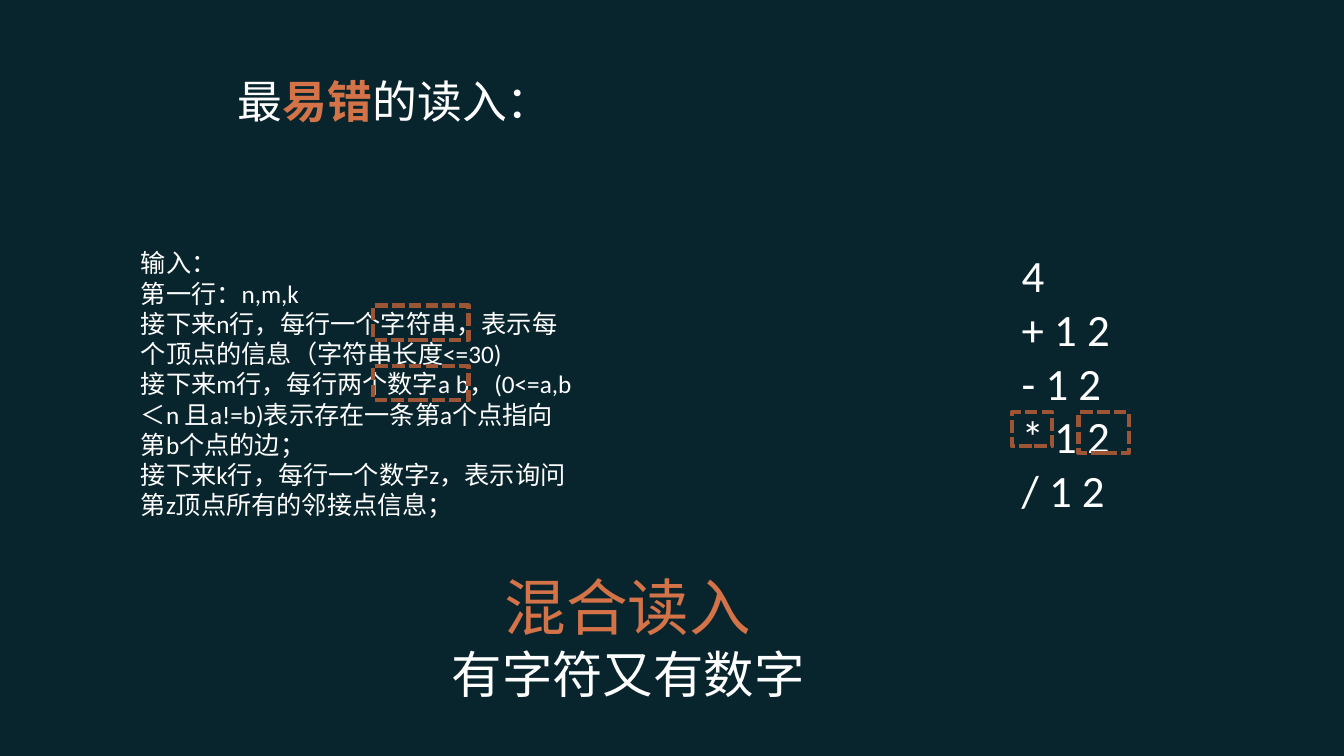
"""Build the slide on reading mixed character and number input."""
from typing import NamedTuple

from pptx import Presentation
from pptx.dml.color import RGBColor
from pptx.enum.dml import MSO_LINE
from pptx.enum.shapes import MSO_SHAPE
from pptx.enum.text import MSO_ANCHOR, MSO_AUTO_SIZE, PP_ALIGN
from pptx.slide import Slide
from pptx.util import Cm, Pt

HUES = {"back": "08252D", "text": "FFFFFF", "accent": "D47348", "frame": "9D5535"}


class Area(NamedTuple):
    left: float
    top: float
    width: float
    height: float


class Style(NamedTuple):
    size: int
    hue: str = "text"
    face: str = "Calibri"
    bold: bool = False


class Line(NamedTuple):
    text: str
    style: Style


class Block(NamedTuple):
    area: Area
    lines: list[Line]
    align: PP_ALIGN = PP_ALIGN.LEFT


BODY, CODE, HEAD = Style(18), Style(32), Style(32)
TITLE = [Line("最", HEAD), Line("易错", Style(32, "accent", bold=True)), Line("的读入：", HEAD)]
RULES = [
    "输入：",
    "第一行：n,m,k",
    "接下来n行，每行一个字符串，表示每个顶点的信息（字符串长度<=30)",
    "接下来m行，每行两个数字a b，(0<=a,b ＜n 且a!=b)表示存在一条第a个点指向第b个点的边；",
    "接下来k行，每行一个数字z，表示询问第z顶点所有的邻接点信息；",
]
SAMPLE = ["4"] + [f"{sign} 1 2" for sign in "+-*/"]
BLOCKS = [
    Block(Area(3.3, 6.12, 11.38, 7.19), [Line(text, BODY) for text in RULES]),
    Block(Area(25.5, 6.12, 2.92, 7.09), [Line(text, CODE) for text in SAMPLE]),
    Block(
        Area(7.59, 14.22, 16.48, 3.68),
        [
            Line("混合读入", Style(44, "accent", "Noto Sans CJK SC")),
            Line("有字符又有数字", Style(36)),
        ],
        PP_ALIGN.CENTER,
    ),
]
FRAMES = [
    Area(9.4, 7.7, 2.41, 0.86),
    Area(9.4, 9.22, 2.41, 0.86),
    Area(25.5, 10.39, 1.02, 0.86),
    Area(27.18, 10.39, 1.27, 1.02),
]


def shade(name: str) -> RGBColor:
    """Return a named colour."""
    return RGBColor.from_string(HUES[name])


def dress(run, style: Style) -> None:
    """Apply a style to a run."""
    font = run.font
    font.name, font.size, font.bold = style.face, Pt(style.size), style.bold
    font.color.rgb = shade(style.hue)


def add_title(slide: Slide, area: Area) -> None:
    """Place the title and its highlighted words."""
    title = slide.shapes.title
    title.left, title.top, title.width, title.height = map(Cm, area)
    title.text_frame.vertical_anchor = MSO_ANCHOR.MIDDLE
    para = title.text_frame.paragraphs[0]
    para.alignment = PP_ALIGN.LEFT
    for part in TITLE:
        run = para.add_run()
        run.text = part.text
        dress(run, part.style)


def add_block(slide: Slide, block: Block) -> None:
    """Draw a text box with one paragraph per line."""
    frame = slide.shapes.add_textbox(*map(Cm, block.area)).text_frame
    frame.word_wrap = True
    frame.auto_size = MSO_AUTO_SIZE.SHAPE_TO_FIT_TEXT
    frame.text = "\n".join(line.text for line in block.lines)
    for para, line in zip(frame.paragraphs, block.lines):
        para.alignment = block.align
        dress(para.runs[0], line.style)


def add_frame(slide: Slide, area: Area) -> None:
    """Draw a dashed frame."""
    box = slide.shapes.add_shape(MSO_SHAPE.RECTANGLE, *map(Cm, area))
    box.shadow.inherit = False
    box.fill.background()
    box.line.color.rgb = shade("frame")
    box.line.width = Pt(3)
    box.line.dash_style = MSO_LINE.SQUARE_DOT


def main() -> None:
    """Build and save the deck."""
    deck = Presentation()
    deck.slide_width, deck.slide_height = Cm(33.87), Cm(19.05)
    slide = deck.slides.add_slide(deck.slide_layouts[5])
    slide.background.fill.solid()
    slide.background.fill.fore_color.rgb = shade("back")
    add_title(slide, Area(5.74, 1.52, 20.19, 2.01))
    *notes, motto = BLOCKS
    for block in notes:
        add_block(slide, block)
    for area in FRAMES:
        add_frame(slide, area)
    add_block(slide, motto)
    deck.save("out.pptx")


if __name__ == "__main__":
    main()
